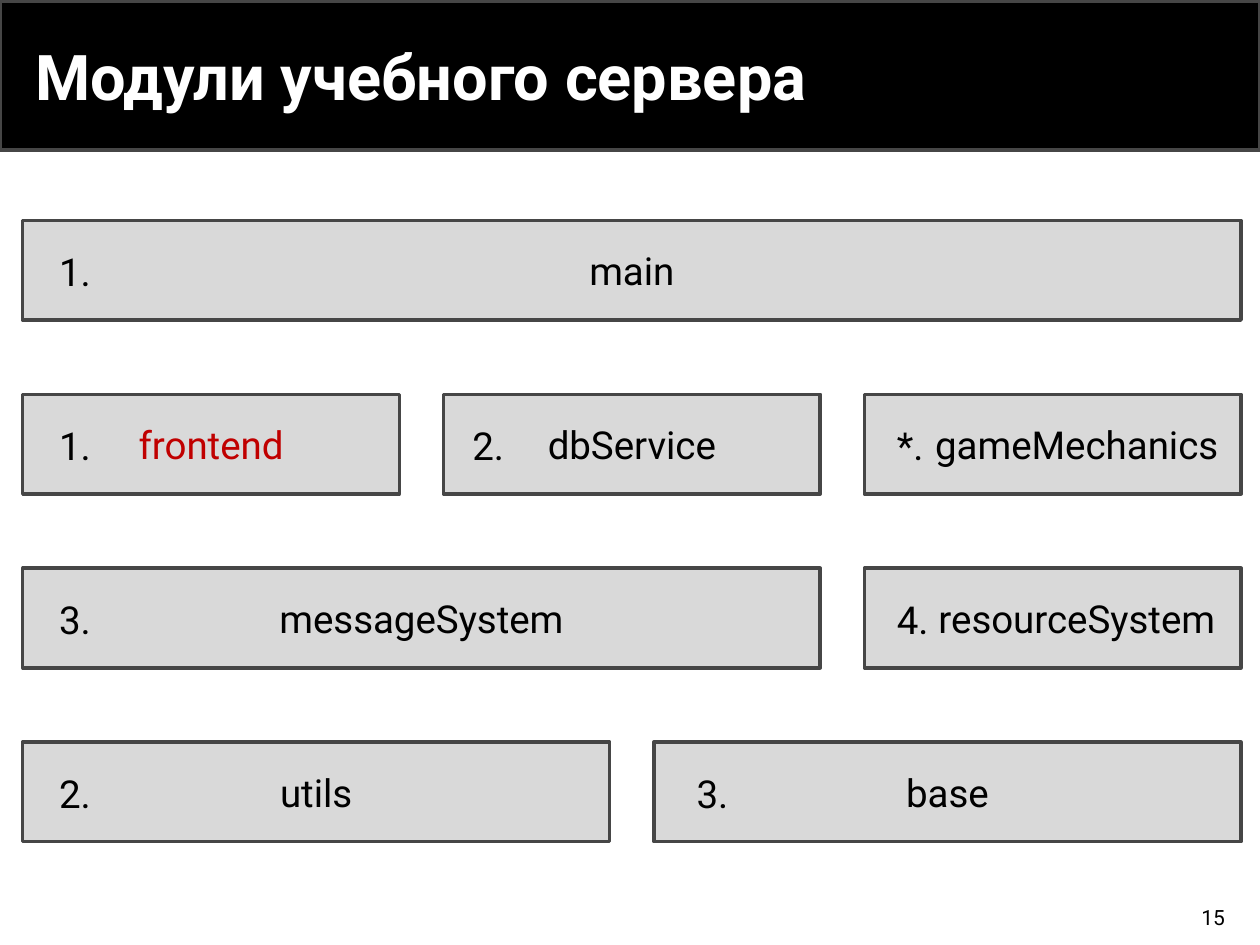
from pptx import Presentation
from pptx.dml.color import RGBColor
from pptx.enum.shapes import MSO_SHAPE
from pptx.enum.text import MSO_ANCHOR, PP_ALIGN
from pptx.util import Inches, Pt

TITLE = "Модули учебного сервера"
PAGE_NUMBER = "15"
# row, first column, column span, number, number offset, name, name colour, left inset
MODULES = [
    (0, 0, 6, "1.", 0.19, "main", "000000", 0.1),
    (1, 0, 2, "1.", 0.19, "frontend", "C00000", 0.1),
    (1, 2, 2, "2.", 0.13, "dbService", "000000", 0.1),
    (1, 4, 2, "*.", 0.16, "gameMechanics", "000000", 0.48),
    (2, 0, 4, "3.", 0.19, "messageSystem", "000000", 0.1),
    (2, 4, 2, "4.", 0.16, "resourceSystem", "000000", 0.48),
    (3, 0, 3, "2.", 0.19, "utils", "000000", 0.1),
    (3, 3, 3, "3.", 0.24, "base", "000000", 0.1),
]
GRID_LEFT, GRID_TOP, GRID_WIDTH = 0.18, 1.75, 9.67
COLUMNS, GAP = 6, 0.35
COLUMN_WIDTH = (GRID_WIDTH - (COLUMNS - 1) * GAP) / COLUMNS
ROW_PITCH, BOX_HEIGHT = 1.38, 0.79
NUMBER_WIDTH, NUMBER_HEIGHT = 0.52, 0.47


def color(value):
    return RGBColor.from_string(value)


def write(shape, text, size, font_color="000000", align=PP_ALIGN.LEFT,
          bold=False, inset=0.1):
    frame = shape.text_frame
    frame.word_wrap = True
    frame.vertical_anchor = MSO_ANCHOR.MIDDLE
    frame.margin_left = Inches(inset)
    paragraph = frame.paragraphs[0]
    paragraph.alignment = align
    run = paragraph.add_run()
    run.text = text
    run.font.name = "Roboto"
    run.font.size = Pt(size)
    run.font.bold = bold
    run.font.color.rgb = color(font_color)


def add_box(slide, left, top, width, height, fill):
    shape = slide.shapes.add_shape(
        MSO_SHAPE.RECTANGLE, *map(Inches, (left, top, width, height)))
    shape.shadow.inherit = False
    shape.fill.solid()
    shape.fill.fore_color.rgb = color(fill)
    shape.line.color.rgb = color("464646")
    shape.line.width = Pt(2)
    return shape


def add_label(slide, left, top, width, height, text, size, **style):
    label = slide.shapes.add_textbox(*map(Inches, (left, top, width, height)))
    write(label, text, size, **style)


def add_module(slide, row, column, span, number, offset, name, name_color, inset):
    left = GRID_LEFT + column * (COLUMN_WIDTH + GAP)
    top = GRID_TOP + row * ROW_PITCH
    width = span * COLUMN_WIDTH + (span - 1) * GAP
    box = add_box(slide, left, top, width, BOX_HEIGHT, "D9D9D9")
    write(box, name, 22, name_color, PP_ALIGN.CENTER, inset=inset)
    number_top = top + (BOX_HEIGHT - NUMBER_HEIGHT) / 2 + 0.01
    add_label(slide, left + offset, number_top, NUMBER_WIDTH, NUMBER_HEIGHT, number, 22)


def main():
    presentation = Presentation()
    presentation.slide_width = Inches(10)
    presentation.slide_height = Inches(7.5)
    slide = presentation.slides.add_slide(presentation.slide_layouts[6])
    add_box(slide, 0, 0.01, 10, 1.18, "000000")
    add_label(slide, 0.18, 0.1, 8.15, 1, TITLE, 36, font_color="FFFFFF", bold=True)
    for module in MODULES:
        add_module(slide, *module)
    add_label(slide, 7.54, 7.13, 2.28, 0.3, PAGE_NUMBER, 12, align=PP_ALIGN.RIGHT)
    presentation.save("out.pptx")


if __name__ == "__main__":
    main()
